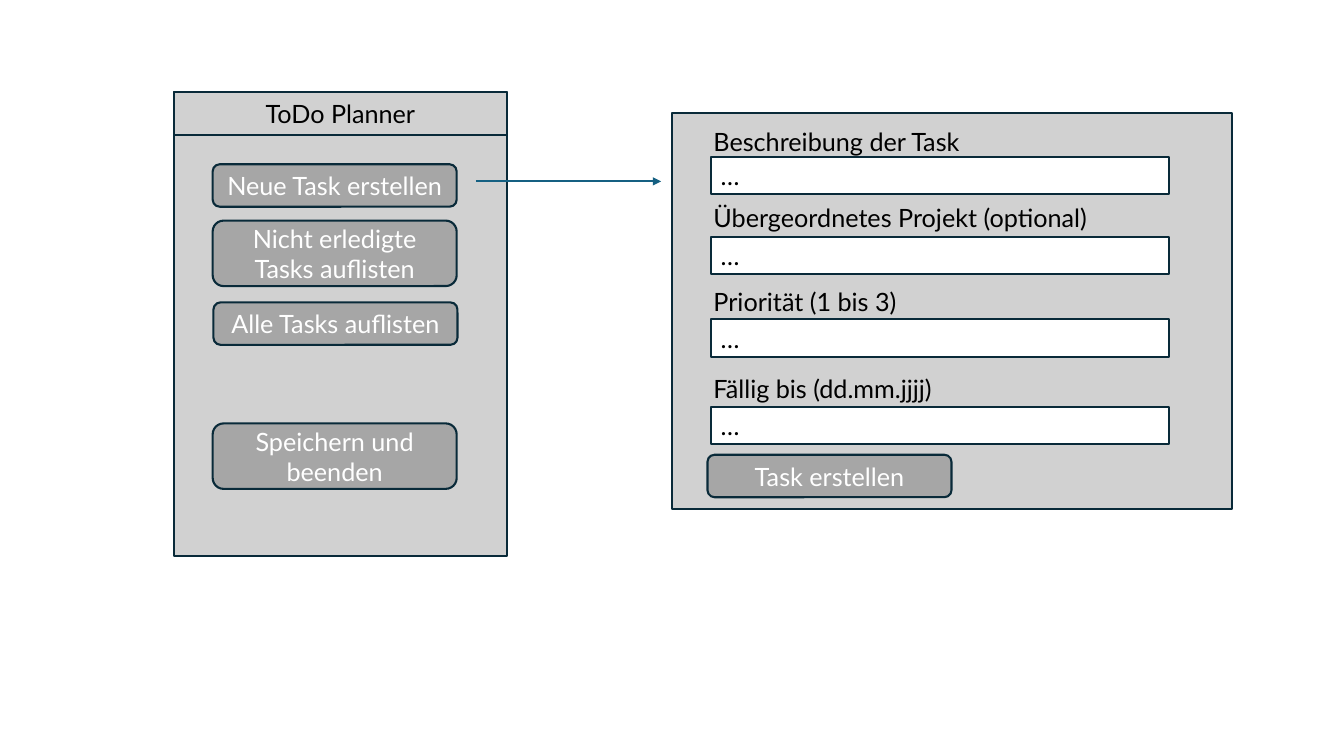
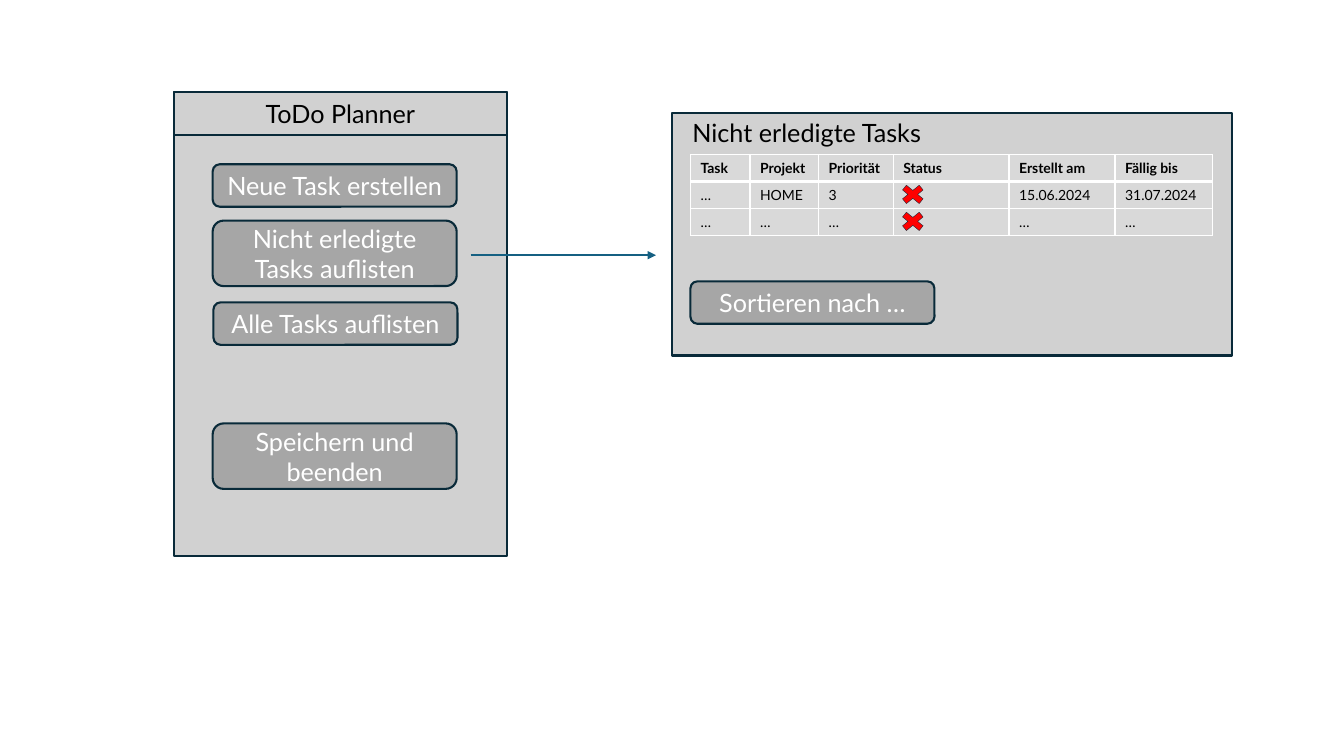
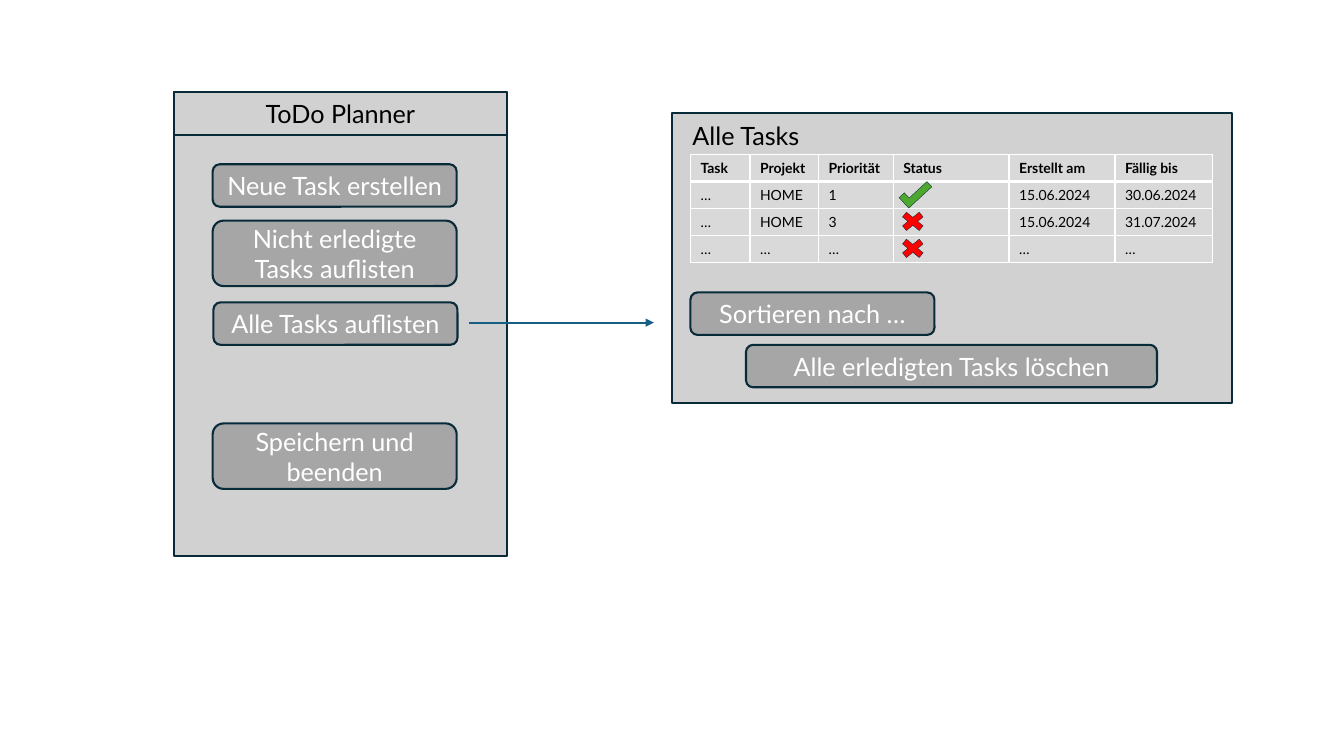
"""Build three wireframe slides of a to-do planner: task form, open tasks and all tasks."""
from dataclasses import dataclass

from lxml.etree import SubElement
from pptx import Presentation
from pptx.dml.color import RGBColor
from pptx.enum.shapes import MSO_CONNECTOR, MSO_SHAPE
from pptx.enum.text import MSO_ANCHOR, MSO_AUTO_SIZE, PP_ALIGN
from pptx.oxml.ns import qn
from pptx.util import Cm, Pt

COLOURS = {
    "panel": "D1D1D1",
    "button": "A6A6A6",
    "outline": "092A39",
    "arrow": "156082",
    "cell": "D9D9D9",
    "white": "FFFFFF",
    "black": "000000",
    "open": "FF0000",
    "done": "4EA72E",
}
FONT = "Lato"
BUTTON_WIDTH, BUTTON_HEIGHT, TALL_HEIGHT = 6.15, 1.07, 1.65
PANEL_LEFT, PANEL_TOP, PANEL_WIDTH = 16.94, 2.84, 14.1
TABLE_LEFT, TABLE_TOP, ROW_HEIGHT = 17.4, 3.89, 0.68
ARROW_LENGTH = 4.67
COLUMN_WIDTHS = (1.5, 1.73, 1.88, 2.92, 2.67, 2.46)
HEADINGS = ("Task", "Projekt", "Priorität", "Status", "Erstellt am", "Fällig bis")
TICK_OUTLINE = ((18, 61), (18, 0), (36, 0), (36, 79), (0, 79))


@dataclass(frozen=True)
class Button:
    label: str
    left: float
    top: float
    width: float = BUTTON_WIDTH
    height: float = BUTTON_HEIGHT


@dataclass(frozen=True)
class Field:
    label: str
    label_top: float
    input_top: float


@dataclass(frozen=True)
class Task:
    project: str = "…"
    priority: str = "…"
    done: bool = False
    created: str = "…"
    due: str = "…"


@dataclass(frozen=True)
class TaskList:
    title: str
    title_top: float
    panel_height: float
    tasks: tuple[Task, ...]
    buttons: tuple[Button, ...]
    arrow_left: float
    arrow_top: float


MENU_BUTTONS = (
    Button("Neue Task erstellen", 5.36, 4.14),
    Button("Nicht erledigte Tasks auflisten", 5.36, 5.56, height=TALL_HEIGHT),
    Button("Alle Tasks auflisten", 5.38, 7.62),
    Button("Speichern und beenden", 5.36, 10.67, height=TALL_HEIGHT),
)
FORM_FIELDS = (
    Field("Beschreibung der Task", 3.05, 3.96),
    Field("Übergeordnetes Projekt (optional)", 4.98, 5.97),
    Field("Priorität (1 bis 3)", 7.09, 8.05),
    Field("Fällig bis (dd.mm.jjjj)", 9.27, 10.26),
)
OPEN_TASK = Task("HOME", "3", False, "15.06.2024", "31.07.2024")
DONE_TASK = Task("HOME", "1", True, "15.06.2024", "30.06.2024")
TASK_LISTS = (
    TaskList(
        "Nicht erledigte Tasks", 2.84, 6.12, (OPEN_TASK, Task()),
        (Button("Sortieren nach …", TABLE_LEFT, 7.09),), 11.86, 6.43,
    ),
    TaskList(
        "Alle Tasks", 2.9, 7.32, (DONE_TASK, OPEN_TASK, Task()),
        (
            Button("Sortieren nach …", TABLE_LEFT, 7.37),
            Button("Alle erledigten Tasks löschen", 18.8, 8.69, width=10.36),
        ),
        11.81, 8.13,
    ),
)


def rgb(name: str) -> RGBColor:
    return RGBColor.from_string(COLOURS[name])


def write(frame, text: str, *, size=18, colour="black", bold=False, align=PP_ALIGN.LEFT):
    paragraph = frame.paragraphs[0]
    paragraph.alignment = align
    if not text:
        SubElement(paragraph._p, qn("a:endParaRPr"), sz=str(size * 100))
        return
    run = paragraph.add_run()
    run.text = text
    run.font.name = FONT
    run.font.size = Pt(size)
    run.font.bold = bold
    run.font.color.rgb = rgb(colour)


def paint(shape, fill: str, line_width: float):
    shape.shadow.inherit = False
    shape.fill.solid()
    shape.fill.fore_color.rgb = rgb(fill)
    shape.line.color.rgb = rgb("outline")
    shape.line.width = Pt(line_width)


def add_box(slide, preset, left, top, width, height, fill: str, line_width=1.5):
    box = slide.shapes.add_shape(preset, Cm(left), Cm(top), Cm(width), Cm(height))
    paint(box, fill, line_width)
    box.text_frame.vertical_anchor = MSO_ANCHOR.MIDDLE
    return box


def add_button(slide, button: Button):
    box = add_box(slide, MSO_SHAPE.ROUNDED_RECTANGLE, button.left, button.top,
                  button.width, button.height, "button")
    write(box.text_frame, button.label, colour="white", align=PP_ALIGN.CENTER)


def add_label(slide, text: str, left: float, top: float):
    label = slide.shapes.add_textbox(Cm(left), Cm(top), Cm(10.26), Cm(1.02))
    label.text_frame.word_wrap = True
    label.text_frame.auto_size = MSO_AUTO_SIZE.SHAPE_TO_FIT_TEXT
    write(label.text_frame, text)


def add_panel(slide, height: float):
    add_box(slide, MSO_SHAPE.RECTANGLE, PANEL_LEFT, PANEL_TOP, PANEL_WIDTH, height, "panel")


def add_menu(slide):
    add_box(slide, MSO_SHAPE.RECTANGLE, 4.39, 2.31, 8.38, 11.71, "panel")
    heading = add_box(slide, MSO_SHAPE.RECTANGLE, 4.39, 2.31, 8.38, 1.09, "panel")
    write(heading.text_frame, "ToDo Planner", align=PP_ALIGN.CENTER)
    for button in MENU_BUTTONS:
        add_button(slide, button)


def add_arrow(slide, left: float, top: float):
    arrow = slide.shapes.add_connector(
        MSO_CONNECTOR.STRAIGHT, Cm(left), Cm(top), Cm(left + ARROW_LENGTH), Cm(top))
    arrow.line.color.rgb = rgb("arrow")
    arrow.line.width = Pt(1.5)
    SubElement(arrow.line._get_or_add_ln(), qn("a:tailEnd"), type="triangle")
    SubElement(arrow._element.spPr, qn("a:effectLst"))


def set_borders(cell, heading: bool):
    properties = cell._tc.get_or_add_tcPr()
    for side in "LRTB":
        points = 3 if heading and side == "B" else 1
        border = SubElement(properties, qn(f"a:ln{side}"), w=str(Pt(points)))
        fill = SubElement(border, qn("a:solidFill"))
        SubElement(fill, qn("a:srgbClr"), val=COLOURS["white"])


def add_table(slide, tasks: tuple[Task, ...]):
    rows = [HEADINGS] + [("…", t.project, t.priority, "", t.created, t.due) for t in tasks]
    table = slide.shapes.add_table(
        len(rows), len(HEADINGS), Cm(TABLE_LEFT), Cm(TABLE_TOP),
        Cm(sum(COLUMN_WIDTHS)), Cm(ROW_HEIGHT * len(rows))).table
    table.horz_banding = False
    for column, width in zip(table.columns, COLUMN_WIDTHS):
        column.width = Cm(width)
    for row_index, values in enumerate(rows):
        heading = row_index == 0
        table.rows[row_index].height = Cm(ROW_HEIGHT)
        for column_index, value in enumerate(values):
            cell = table.cell(row_index, column_index)
            set_borders(cell, heading)
            cell.fill.solid()
            cell.fill.fore_color.rgb = rgb("cell")
            write(cell.text_frame, value, size=10, bold=heading)


def add_status(slide, row: int, done: bool):
    top = TABLE_TOP + ROW_HEIGHT * row
    if done:
        outline = slide.shapes.build_freeform(0, 61, scale=Cm(0.01))
        outline.add_line_segments(TICK_OUTLINE, close=True)
        tick = outline.convert_to_shape(Cm(22.89), Cm(top - 0.12))
        paint(tick, "done", 0.25)
        tick.rotation = 47.2
    else:
        add_box(slide, MSO_SHAPE.MATH_MULTIPLY, 22.6, top, 0.81, 0.66, "open", 0.25)


def build_form(slide):
    add_panel(slide, 9.98)
    for field in FORM_FIELDS:
        add_label(slide, field.label, 17.73, field.label_top)
        entry = add_box(slide, MSO_SHAPE.RECTANGLE, 17.91, field.input_top, 11.56, 0.94, "white")
        write(entry.text_frame, "…")
    add_button(slide, Button("Task erstellen", 17.83, 11.46))
    add_menu(slide)
    add_arrow(slide, 11.99, 4.57)


def build_list(slide, task_list: TaskList):
    add_panel(slide, task_list.panel_height)
    add_table(slide, task_list.tasks)
    add_label(slide, task_list.title, 17.2, task_list.title_top)
    for button in task_list.buttons:
        add_button(slide, button)
    for row, task in enumerate(task_list.tasks, start=1):
        add_status(slide, row, task.done)
    add_menu(slide)
    add_arrow(slide, task_list.arrow_left, task_list.arrow_top)


def main():
    presentation = Presentation()
    presentation.slide_width = Cm(33.87)
    presentation.slide_height = Cm(19.05)
    blank = presentation.slide_layouts[6]
    build_form(presentation.slides.add_slide(blank))
    for task_list in TASK_LISTS:
        build_list(presentation.slides.add_slide(blank), task_list)
    presentation.save("out.pptx")


if __name__ == "__main__":
    main()
